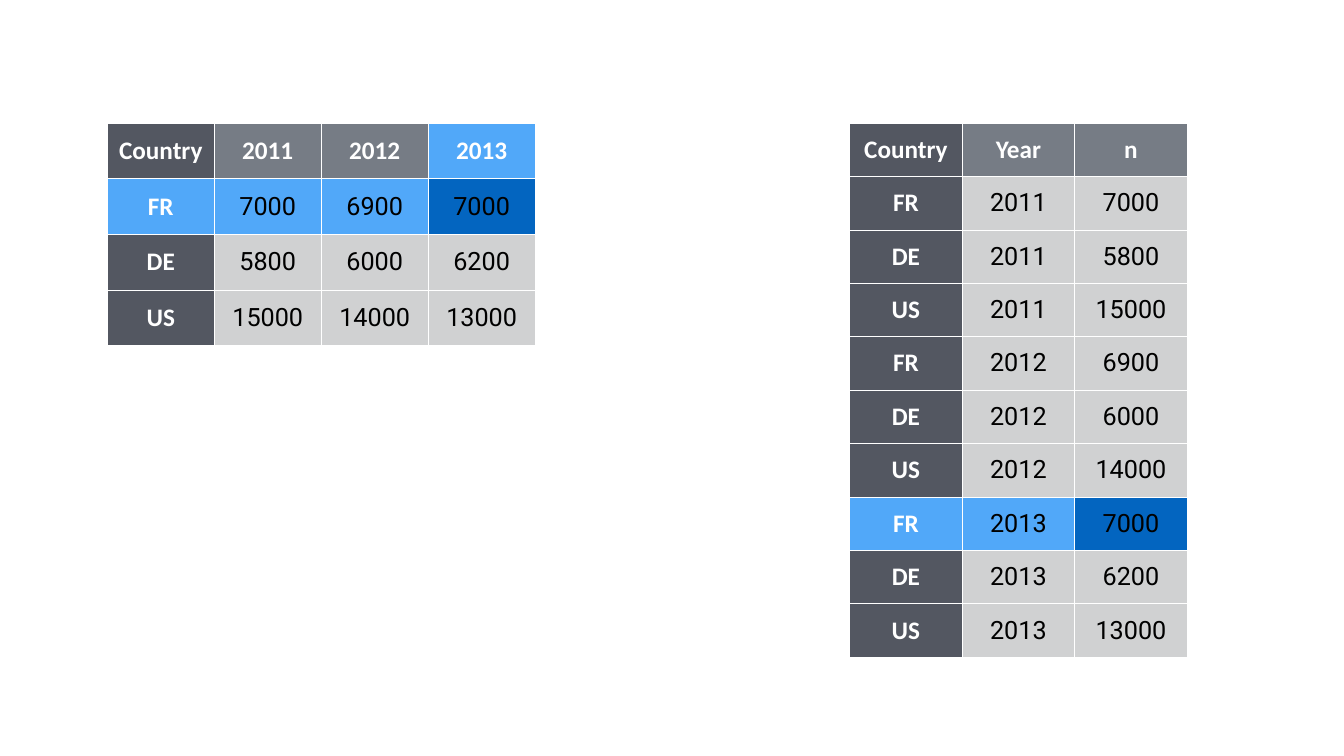
from lxml.etree import SubElement
from pptx import Presentation
from pptx.dml.color import RGBColor
from pptx.enum.text import MSO_ANCHOR as Anchor, PP_ALIGN as Align
from pptx.oxml.ns import qn
from pptx.util import Emu, Pt

PX = 9144  # EMU per px, 100 px to the inch
COLORS = {
    "white": "FFFFFF",
    "black": "000000",
    "header": "767C85",
    "label": "535761",
    "value": "D0D1D2",
    "accent": "51A8F9",
    "focus": "0365C0",
}


def px(n):
    return Emu(int(n * PX))


def rgb(name):
    return RGBColor.from_string(COLORS[name])


class Deck:
    """Table style and the current slide."""
    label_font, value_font, size = "Calibri", "Roboto", 36
    margin, border = 6, 1

    def __init__(self, slide):
        self.s = slide

    def table(self, x, y, w, h, rows, fills):
        """Draw rows of text; fills overrides the fill of (row, column) cells."""
        n_rows, n_cols = len(rows), len(rows[0])
        table = self.s.shapes.add_table(n_rows, n_cols, px(x), px(y), px(w), px(h)).table
        table.horz_banding = False
        table.first_col = True
        for col in table.columns:
            col.width = px(w / n_cols)
        for row in table.rows:
            row.height = px(h / n_rows)
        for i, row in enumerate(rows):
            for j, text in enumerate(row):
                base = "label" if j == 0 else "header" if i == 0 else "value"
                self.cell(table.cell(i, j), text, fills.get((i, j), base), i == 0 or j == 0)

    def cell(self, cell, text, fill, is_label):
        cell.margin_left = cell.margin_right = px(self.margin)
        cell.margin_top = cell.margin_bottom = px(self.margin)
        cell.vertical_anchor = Anchor.MIDDLE
        self.borders(cell)
        cell.fill.solid()
        cell.fill.fore_color.rgb = rgb(fill)
        p = cell.text_frame.paragraphs[0]
        p.alignment = Align.CENTER
        r = p.add_run()
        r.text = text
        r.font.name = self.label_font if is_label else self.value_font
        r.font.size = Pt(self.size)
        r.font.bold = is_label
        r.font.color.rgb = rgb("white" if is_label else "black")

    def borders(self, cell):
        tc_pr = cell._tc.get_or_add_tcPr()
        for side in ("a:lnL", "a:lnR", "a:lnT", "a:lnB"):
            ln = SubElement(tc_pr, qn(side), w=str(Pt(self.border)))
            SubElement(SubElement(ln, qn("a:solidFill")), qn("a:srgbClr"), val=COLORS["white"])


# Case counts by country and year
YEARS = ["2011", "2012", "2013"]
COUNTS = {
    "FR": ["7000", "6900", "7000"],
    "DE": ["5800", "6000", "6200"],
    "US": ["15000", "14000", "13000"],
}


def main():
    prs = Presentation()
    prs.slide_width, prs.slide_height = px(2667), px(1500)
    deck = Deck(prs.slides.add_slide(prs.slide_layouts[6]))

    # Wide table: one column per year, with FR in 2013 highlighted
    wide = [["Country", *YEARS]] + [[c, *counts] for c, counts in COUNTS.items()]
    wide_fills = {(0, 3): "accent", (1, 0): "accent", (1, 1): "accent",
                  (1, 2): "accent", (1, 3): "focus"}
    deck.table(213, 244, 849, 442, wide, wide_fills)

    # Long table: one row per country and year, same value highlighted
    tidy = [["Country", "Year", "n"]]
    tidy += [[c, year, COUNTS[c][k]] for k, year in enumerate(YEARS) for c in COUNTS]
    row = next(i for i, r in enumerate(tidy) if r[:2] == ["FR", "2013"])
    tidy_fills = {(row, 0): "accent", (row, 1): "accent", (row, 2): "focus"}
    deck.table(1686, 244, 670, 1060, tidy, tidy_fills)

    prs.save("out.pptx")


if __name__ == "__main__":
    main()
